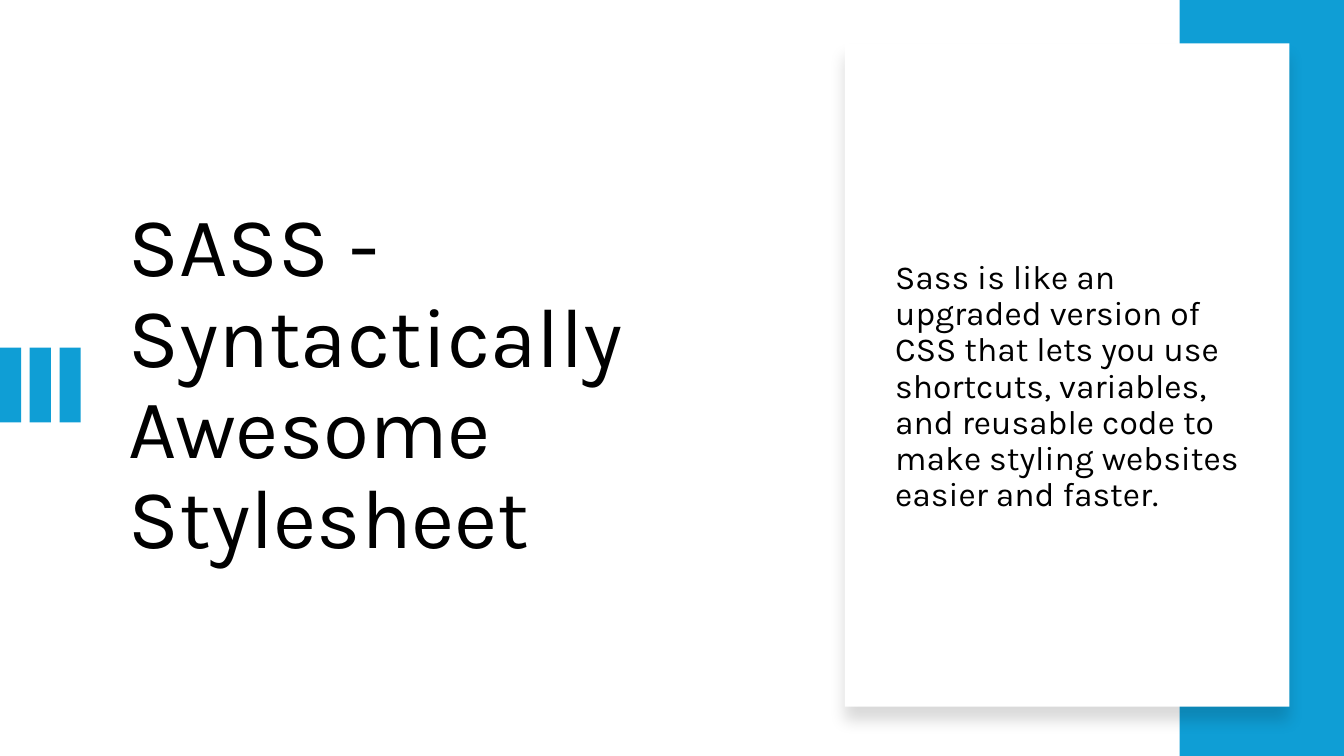
"""Build the SASS introduction slide."""
from lxml import etree
from pptx import Presentation
from pptx import util as u
from pptx.dml.color import RGBColor
from pptx.enum import shapes, text
from pptx.oxml.ns import qn

BLUE, WHITE, BLACK = "0F9ED5", "FFFFFF", "000000"
FONT = "Karla"
TITLE = "SASS - Syntactically Awesome Stylesheet"
SUMMARY = (
    "Sass is like an upgraded version of CSS that lets you use shortcuts, "
    "variables, and reusable code to make styling websites easier and faster."
)
TITLE_BOX = (1.18, 1.25, 6.6, 5.15)
SUMMARY_BOX = (8.78, 1.85, 3.61, 3.98)
SIDE_BAND = (11.7, 0, 1.63, 7.5)
CARD = (8.38, 0.43, 4.41, 6.58)
STRIPE_COUNT, STRIPE_STEP = 3, 0.295
STRIPE_TOP, STRIPE_WIDTH, STRIPE_HEIGHT = 3.45, 0.21, 0.74
CARD_SHADOW = {"blur": 11, "distance": 10, "angle": 90, "opacity": 15}


def color(value):
    return RGBColor.from_string(value)


def add_rectangle(slide, box, fill):
    shape = slide.shapes.add_shape(
        shapes.MSO_SHAPE.RECTANGLE, *(u.Inches(length) for length in box)
    )
    shape.shadow.inherit = False
    shape.fill.solid()
    shape.fill.fore_color.rgb = color(fill)
    shape.line.fill.background()
    return shape


def add_shadow(shape, blur, distance, angle, opacity):
    effects = shape._element.spPr.find(qn("a:effectLst"))
    shadow = etree.SubElement(
        effects, qn("a:outerShdw"), blurRad=str(u.Pt(blur)),
        dist=str(u.Pt(distance)), dir=str(angle * 60000),
        algn="t", rotWithShape="0",
    )
    shade = etree.SubElement(shadow, qn("a:srgbClr"), val=BLACK)
    etree.SubElement(shade, qn("a:alpha"), val=str(opacity * 1000))


def add_text(slide, words, *, box, size):
    shape = slide.shapes.add_textbox(*(u.Inches(length) for length in box))
    frame = shape.text_frame
    frame.word_wrap = True
    frame.vertical_anchor = text.MSO_ANCHOR.MIDDLE
    paragraph = frame.paragraphs[0]
    paragraph.text = words
    paragraph.line_spacing = 0.9
    paragraph.alignment = text.PP_ALIGN.LEFT
    font = paragraph.runs[0].font
    font.name, font.size = FONT, u.Pt(size)
    font.color.rgb = color(BLACK)


def main():
    presentation = Presentation()
    presentation.slide_width = u.Inches(13.33)
    presentation.slide_height = u.Inches(7.5)
    slide = presentation.slides.add_slide(presentation.slide_layouts[6])

    for index in range(STRIPE_COUNT):
        stripe = (index * STRIPE_STEP, STRIPE_TOP, STRIPE_WIDTH, STRIPE_HEIGHT)
        add_rectangle(slide, stripe, BLUE)
    add_rectangle(slide, SIDE_BAND, BLUE)
    add_shadow(add_rectangle(slide, CARD, WHITE), **CARD_SHADOW)
    add_text(slide, TITLE, box=TITLE_BOX, size=60)
    add_text(slide, SUMMARY, box=SUMMARY_BOX, size=24)

    presentation.save("out.pptx")


if __name__ == "__main__":
    main()
